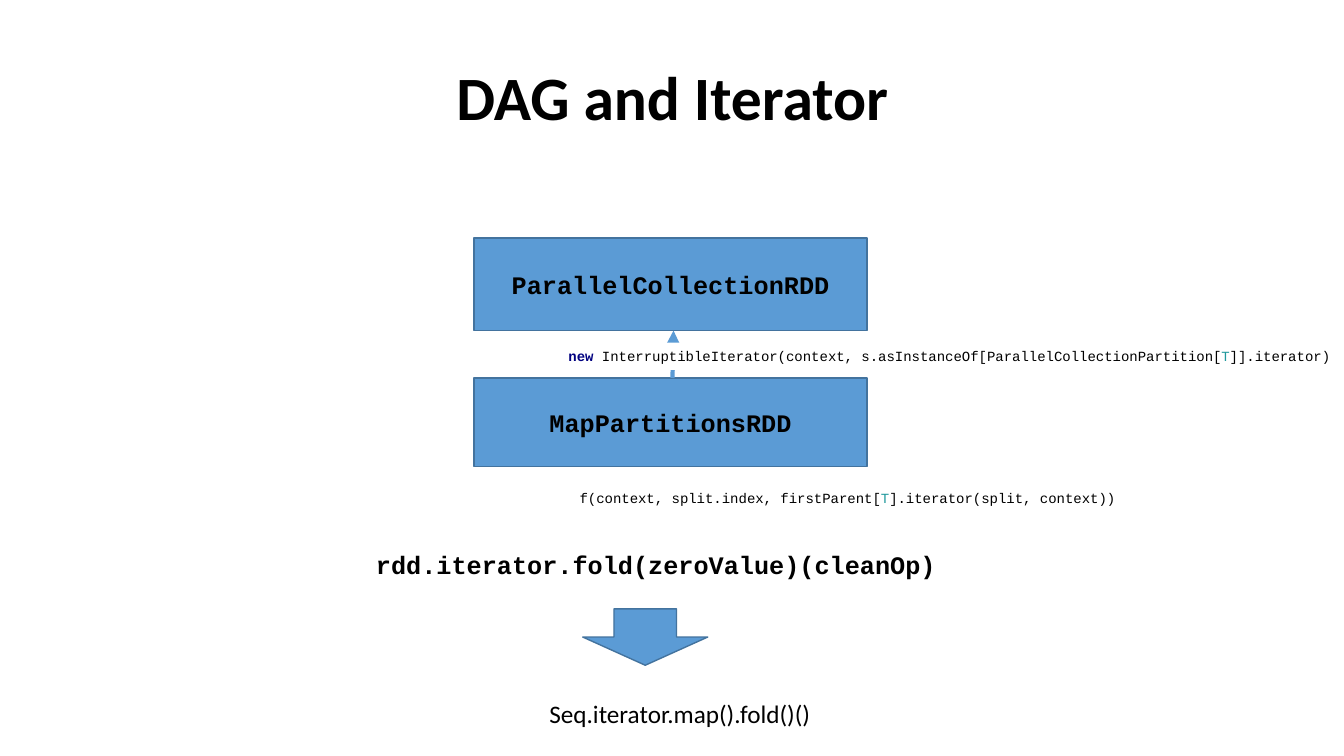
"""Build the "DAG and Iterator" slide."""
from lxml import etree
from pptx import Presentation
from pptx.dml.color import RGBColor
from pptx.enum import shapes, text
from pptx.oxml import ns
from pptx.util import Inches, Pt

COLOURS = {"black": "000000", "white": "FFFFFF", "blue": "5B9BD5",
           "outline": "43739E", "keyword": "000080", "type": "20999D"}
CODE, BODY = "Courier New", "Calibri"
LEFT, CENTER = text.PP_ALIGN.LEFT, text.PP_ALIGN.CENTER
TOP, MIDDLE = text.MSO_ANCHOR.TOP, text.MSO_ANCHOR.MIDDLE

TITLE = "DAG and Iterator"
RDD_LEFT, RDD_WIDTH = 4.7, 3.9
RDDS = [("ParallelCollectionRDD", 2.36, 0.92), ("MapPartitionsRDD", 3.75, 0.88)]
DEPENDENCY = (6.67, 3.75, 6.68, 3.28)
CODE_LINES = [
    ((5.65, 4.8, 5.9, 0.27),
     [("f(context, split.index, firstParent[", "black", False),
      ("T", "type", False),
      ("].iterator(split, context))", "black", False)]),
    ((5.54, 3.4, 7.8, 0.27),
     [("new ", "keyword", True),
      ("InterruptibleIterator(context, s.asInstanceOf[ParallelCollectionPartition[",
       "black", False),
      ("T", "type", False),
      ("]].iterator)", "black", False)]),
]
CALLS = [("rdd.iterator.fold(zeroValue)(cleanOp)", (3.63, 5.4, 6.08, 0.71), CODE, True),
         ("Seq.iterator.map().fold()()", (5.35, 6.88, 2.82, 0.4), BODY, False)]
DOWN_ARROW = (5.78, 6.04, 1.24, 0.56)


def colour(name):
    return RGBColor.from_string(COLOURS[name])


def inches(box):
    return [Inches(length) for length in box]


def write(shape, runs, size, font=CODE, align=LEFT, anchor=MIDDLE):
    frame = shape.text_frame
    frame.word_wrap = True
    frame.vertical_anchor = anchor
    paragraph = frame.paragraphs[0]
    paragraph.alignment = align
    for content, name, bold in runs:
        run = paragraph.add_run()
        run.text = content
        run.font.name, run.font.size, run.font.bold = font, Pt(size), bold
        run.font.color.rgb = colour(name)
    return paragraph


def add_block(slide, kind, box, fill, outline=None):
    shape = slide.shapes.add_shape(kind, *inches(box))
    shape.shadow.inherit = False
    shape.fill.solid()
    shape.fill.fore_color.rgb = colour(fill)
    if outline:
        shape.line.color.rgb = colour(outline)
        shape.line.width = Pt(1)
    else:
        shape.line.fill.background()
    return shape


def add_arrow(slide, ends):
    arrow = slide.shapes.add_connector(shapes.MSO_CONNECTOR.STRAIGHT, *inches(ends))
    arrow.line.color.rgb = colour("blue")
    arrow.line.width = Pt(3)
    line = arrow.line._get_or_add_ln()
    etree.SubElement(line, ns.qn("a:tailEnd"), type="triangle")
    etree.SubElement(arrow._element.spPr, ns.qn("a:effectLst"))


presentation = Presentation()
presentation.slide_width, presentation.slide_height = Inches(13.33), Inches(7.5)
slide = presentation.slides.add_slide(presentation.slide_layouts[5])

title = slide.shapes.title
title.left, title.top, title.width, title.height = inches((0.92, 0.4, 11.5, 1.2))
heading = write(title, [(TITLE, "black", True)], 44, BODY, CENTER)
heading.line_spacing = 0.9

RECTANGLE = shapes.MSO_SHAPE.RECTANGLE
for name, top, height in RDDS:
    rdd = add_block(slide, RECTANGLE, (RDD_LEFT, top, RDD_WIDTH, height), "blue", "outline")
    write(rdd, [(name, "black", True)], 18, align=CENTER)

add_arrow(slide, DEPENDENCY)

for box, runs in CODE_LINES:
    write(add_block(slide, RECTANGLE, box, "white"), runs, 10)

for call, box, font, bold in CALLS:
    label = slide.shapes.add_textbox(*inches(box))
    write(label, [(call, "black", bold)], 18, font, anchor=TOP)

add_block(slide, shapes.MSO_SHAPE.DOWN_ARROW, DOWN_ARROW, "blue", "outline")

presentation.save("out.pptx")
